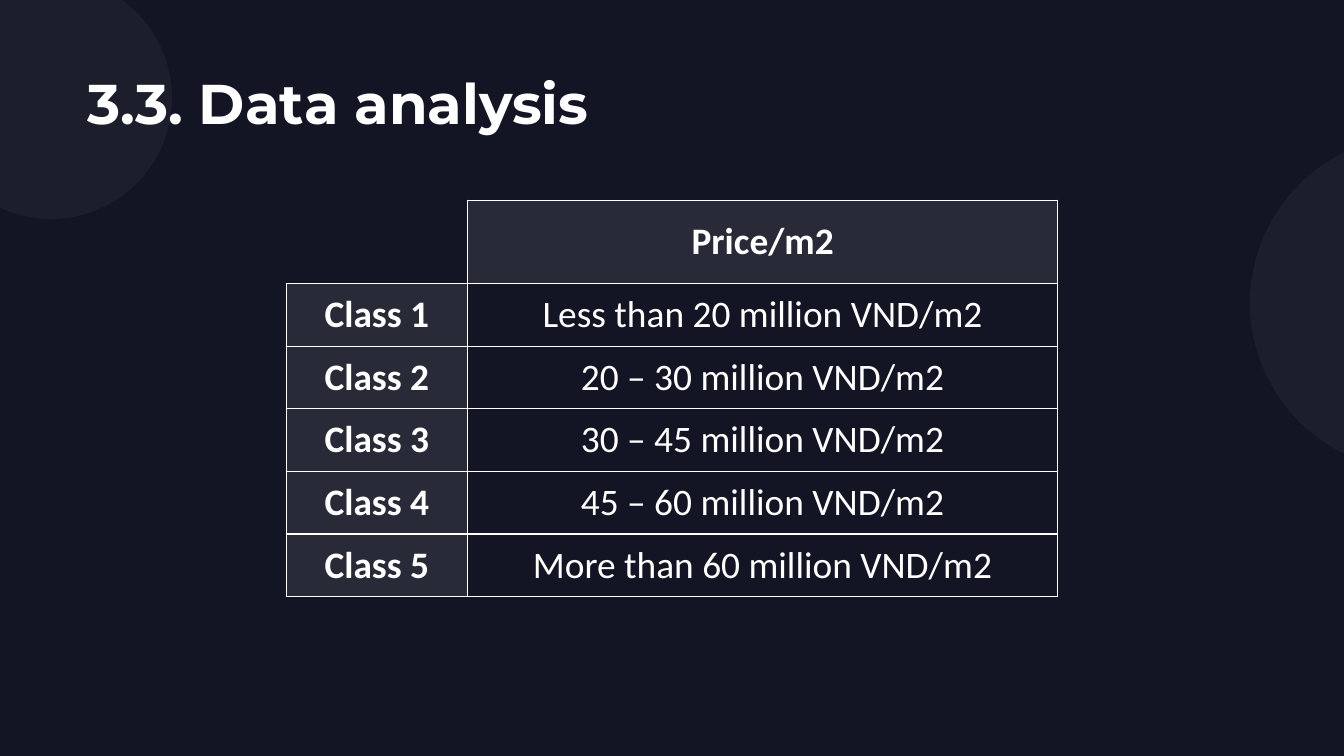
from lxml import etree
from pptx import Presentation
from pptx.dml.color import RGBColor
from pptx.enum.shapes import MSO_SHAPE
from pptx.enum.text import MSO_ANCHOR, PP_ALIGN
from pptx.oxml.ns import qn
from pptx.util import Inches, Pt

OVAL = MSO_SHAPE.OVAL
TOP, MIDDLE = MSO_ANCHOR.TOP, MSO_ANCHOR.MIDDLE
LEFT, CENTER = PP_ALIGN.LEFT, PP_ALIGN.CENTER

NAVY = RGBColor(0x13, 0x15, 0x24)
WHITE = RGBColor(0xFF, 0xFF, 0xFF)

TITLE_FONT = {"name": "Montserrat", "size": Pt(30), "bold": True}
HEADING_FONT = {"name": "Calibri", "size": Pt(20), "bold": True}
BODY_FONT = {**HEADING_FONT, "bold": False}

PRICE_ROWS = [
    ("", "Price/m2"),
    ("Class 1", "Less than 20 million VND/m2"),
    ("Class 2", "20 – 30 million VND/m2"),
    ("Class 3", "30 – 45 million VND/m2"),
    ("Class 4", "45 – 60 million VND/m2"),
    ("Class 5", "More than 60 million VND/m2"),
]


def fill_white(fill, percent):
    """Fill with white at the given opacity."""
    fill.solid()
    fill.fore_color.rgb = WHITE
    color = fill._xPr.find(qn("a:solidFill"))[0]
    etree.SubElement(color, qn("a:alpha"), val=str(percent * 1000))


def write_text(frame, text, font, align):
    para = frame.paragraphs[0]
    para.alignment = align
    span = para.add_run()
    span.text = text
    for name, value in font.items():
        setattr(span.font, name, value)
    span.font.color.rgb = WHITE


def set_margins(target, margin):
    for side in ("left", "top", "right", "bottom"):
        setattr(target, f"margin_{side}", Inches(margin))


def add_borders(cell, drawn_sides):
    """Draw thin white lines on the given sides and hide the others."""
    props = cell._tc.get_or_add_tcPr()
    for index, side in enumerate("LRTB"):
        line = etree.Element(qn(f"a:ln{side}"), w=str(Pt(0.75)))
        if side in drawn_sides:
            solid = etree.SubElement(line, qn("a:solidFill"))
            etree.SubElement(solid, qn("a:srgbClr"), val=str(WHITE))
        else:
            etree.SubElement(line, qn("a:noFill"))
        props.insert(index, line)


def add_circle(page, left, top, size):
    circle = page.shapes.add_shape(
        OVAL, Inches(left), Inches(top), Inches(size), Inches(size))
    circle.shadow.inherit = False
    circle.line.fill.background()
    fill_white(circle.fill, 4)


def add_title(page, left, top, width, height):
    box = page.shapes.add_textbox(
        Inches(left), Inches(top), Inches(width), Inches(height))
    frame = box.text_frame
    frame.word_wrap = True
    frame.vertical_anchor = TOP
    set_margins(frame, 0.1)
    write_text(frame, "3.3. Data analysis", TITLE_FONT, LEFT)


def add_price_table(page, left, top, width, height):
    table = page.shapes.add_table(
        len(PRICE_ROWS), 2, Inches(left), Inches(top),
        Inches(width), Inches(height)).table
    table.first_row = table.horz_banding = False

    # Narrow class column, tall header, equal body rows
    label_width, header_height = 1.35, 0.62
    table.columns[0].width = Inches(label_width)
    table.columns[1].width = Inches(width - label_width)
    body_height = (height - header_height) / (len(PRICE_ROWS) - 1)

    for r, values in enumerate(PRICE_ROWS):
        table.rows[r].height = Inches(body_height if r else header_height)
        for c, text in enumerate(values):
            cell = table.cell(r, c)
            is_heading = bool(text) and (r == 0 or c == 0)
            if is_heading:
                fill_white(cell.fill, 9)
            else:
                cell.fill.background()
            # The empty corner only borders its neighbours
            add_borders(cell, "LRTB" if text else "RB")
            if text:
                cell.vertical_anchor = MIDDLE
                set_margins(cell, 0.05)
                font = HEADING_FONT if is_heading else BODY_FONT
                write_text(cell.text_frame, text, font, CENTER)


def main():
    deck = Presentation()
    # Widescreen, 16:9
    deck.slide_width = Inches(10)
    deck.slide_height = deck.slide_width * 9 // 16
    page = deck.slides.add_slide(deck.slide_layouts[6])
    page.background.fill.solid()
    page.background.fill.fore_color.rgb = NAVY

    add_price_table(page, 2.13, 1.49, 5.74, 2.95)
    # Background circles
    add_circle(page, -0.52, -0.17, 1.8)
    add_circle(page, 9.3, 1.01, 2.49)
    add_title(page, 0.55, 0.41, 7.06, 0.63)
    deck.save("out.pptx")


if __name__ == "__main__":
    main()
